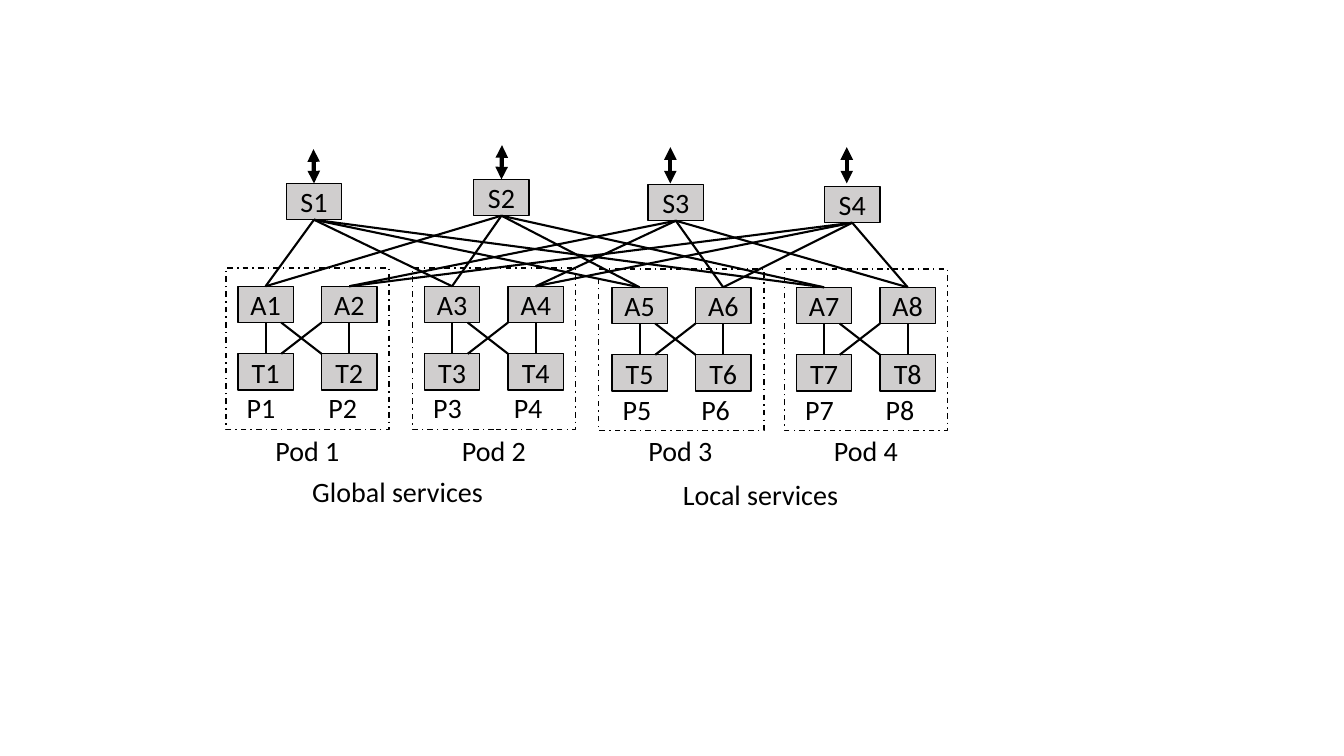
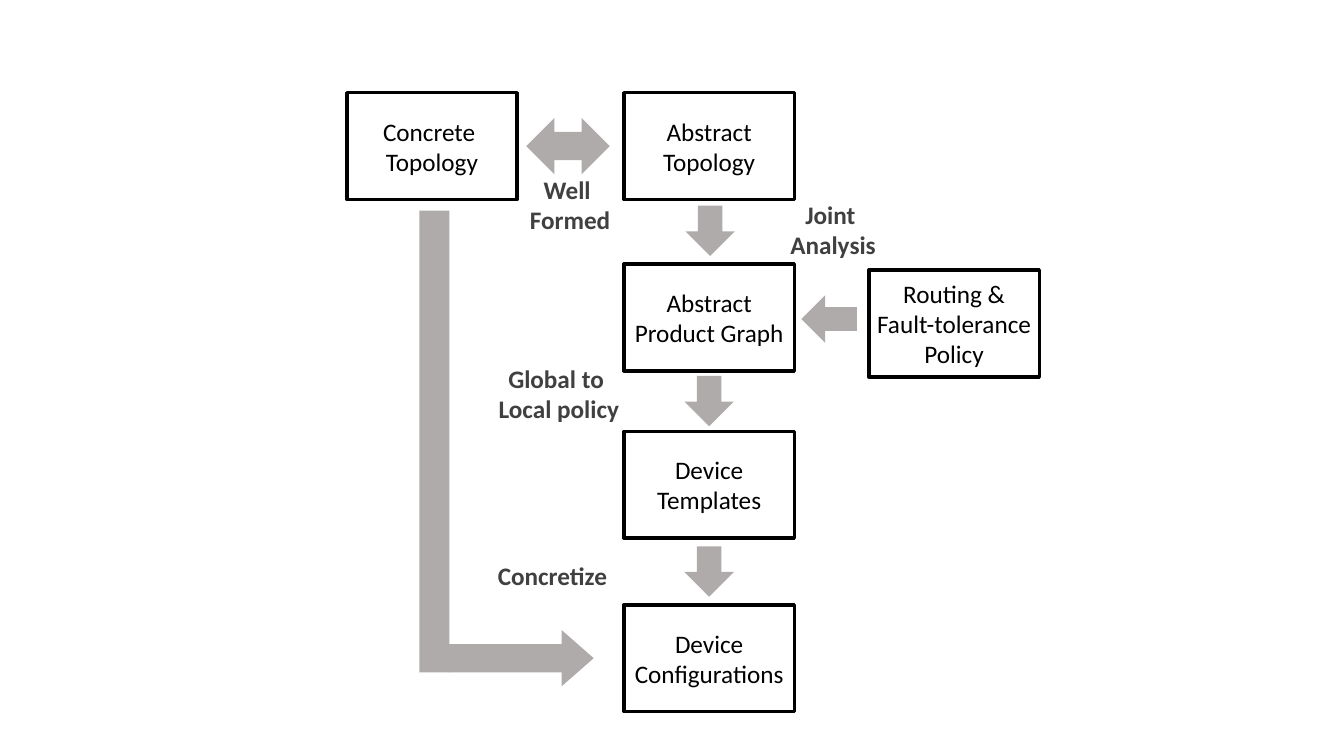
"""Build a data centre topology slide and a compilation pipeline slide."""
from lxml.etree import SubElement
from pptx import Presentation
from pptx.dml.color import RGBColor
from pptx.enum.dml import MSO_LINE
from pptx.enum.shapes import MSO_CONNECTOR, MSO_SHAPE
from pptx.enum.text import MSO_ANCHOR, PP_ALIGN
from pptx.oxml.ns import qn
from pptx.util import Inches, Pt

RECT = MSO_SHAPE.RECTANGLE
RIGHT = MSO_SHAPE.RIGHT_ARROW
LEFT = MSO_SHAPE.LEFT_ARROW
DOWN = MSO_SHAPE.DOWN_ARROW
BOTH = MSO_SHAPE.LEFT_RIGHT_ARROW
LINE = MSO_CONNECTOR.STRAIGHT
DASH = MSO_LINE.DASH_DOT
MIDDLE = MSO_ANCHOR.MIDDLE
TOP = MSO_ANCHOR.TOP
CENTER = PP_ALIGN.CENTER

FONT = "Calibri"
HUE = {"ink": "000000", "node": "D0CECE", "arrow": "AFABAB", "note": "404040"}
CELL = Inches(0.1)
COLS, ROWS = 133.33, 75


def put(slide, text, box, kind=None, fill=None, line=0, dash=None,
        size=20, color="ink", bold=False, wrap=True):
    """Place text in a plain box or a preset shape, measured in grid cells."""
    area = [round(v * CELL) for v in box]
    if kind is None:
        shape = slide.shapes.add_textbox(*area)
    else:
        shape = slide.shapes.add_shape(kind, *area)
        shape.shadow.inherit = False
        if fill:
            shape.fill.solid()
            shape.fill.fore_color.rgb = RGBColor.from_string(HUE[fill])
        else:
            shape.fill.background()
        if line:
            shape.line.color.rgb = RGBColor.from_string(HUE["ink"])
            shape.line.width = Pt(line)
            if dash:
                shape.line.dash_style = dash
        else:
            shape.line.fill.background()
    if text:
        frame = shape.text_frame
        frame.text = text
        frame.word_wrap = wrap
        frame.vertical_anchor = MIDDLE if kind else TOP
        for para in frame.paragraphs:
            para.alignment = CENTER
            para.font.name = FONT
            para.font.size = Pt(size)
            para.font.bold = bold
            para.font.color.rgb = RGBColor.from_string(HUE[color])
    return shape


def link(slide, ends=(0, 0, 0, 0), start=None, stop=None, width=1.5, heads=False):
    """Draw a line between grid points or from a node's bottom to a node's top."""
    wire = slide.shapes.add_connector(LINE, *[round(v * CELL) for v in ends])
    if start is not None:
        wire.begin_connect(start, 2)
    if stop is not None:
        wire.end_connect(stop, 0)
    wire.line.color.rgb = RGBColor.from_string(HUE["ink"])
    wire.line.width = Pt(width)
    props = wire._element.spPr
    if heads:
        for tag in ("a:headEnd", "a:tailEnd"):
            SubElement(props.find(qn("a:ln")), qn(tag), type="triangle")
    SubElement(props, qn("a:effectLst"))


deck = Presentation()
deck.slide_width = round(COLS * CELL)
deck.slide_height = ROWS * CELL
blank = deck.slide_layouts[6]

net = deck.slides.add_slide(blank)
WIDE, HIGH, STEP = 5.5, 3.6, 8.3
node = {"kind": RECT, "fill": "node", "line": 1}

pods = [
    (22.4, 26.6, 16.2, 23.6, 22.1, 8.1),
    (40.9, 26.6, 16.2, 42.1, 40.6, 8),
    (59.4, 26.7, 16.4, 60.7, 59.4, 7.8),
    (77.8, 26.7, 16.2, 79, 77.5, 8),
]
aggs = []
for i, (left, top, wide, first, port, gap) in enumerate(pods):
    put(net, "", (left, top, wide, 16), kind=RECT, line=1, dash=DASH)
    high, low = top + 1.8, top + 8.5
    for j in range(2):
        num = 2 * i + j + 1
        x = first + j * STEP
        agg = put(net, f"A{num}", (x, high, WIDE, HIGH), **node)
        tor = put(net, f"T{num}", (x, low, WIDE, HIGH), **node)
        link(net, start=agg, stop=tor)
        put(net, f"P{num}", (port + j * gap, top + 11.7, 7.6, 4.4))
        aggs.append(agg)
    near, far = first + 4.3, first + STEP
    link(net, (far, high + HIGH, near, low))
    link(net, (near, high + HIGH, far, low))
    put(net, f"Pod {i + 1}", (left, 42.5, 16.2, 4.4))

spines = [
    (28.4, 18.2, 31.1, 14.8, 18.2),
    (47, 17.8, 49.8, 14.4, 17.8),
    (64.3, 18.3, 66.5, 14.6, 18.2),
    (81.8, 18.5, 84, 14.6, 18.2),
]
for i, (left, top, x, head, foot) in enumerate(spines):
    spine = put(net, f"S{i + 1}", (left, top, WIDE, HIGH), **node)
    link(net, (x, head, x, foot), stop=spine if i < 2 else None, width=3, heads=True)
    for agg in aggs[i // 2::2]:
        link(net, start=spine, stop=agg)

put(net, "Global services", (28.6, 46.6, 21.7, 4.4))
put(net, "Local services", (64.6, 46.9, 21.7, 4.4))

flow = deck.slides.add_slide(blank)
MAIN = 61.9
stages = [
    ("Concrete \nTopology", 34.4, 9.2),
    ("Abstract\nTopology", MAIN, 9.2),
    ("Abstract\nProduct Graph", MAIN, 26.2),
    ("Routing &\nFault-tolerance\nPolicy", 86.2, 26.8),
    ("Device\nTemplates", MAIN, 42.8),
    ("Device\nConfigurations", MAIN, 60),
]
for text, left, top in stages:
    put(flow, text, (left, top, 16.9, 10.6), kind=RECT, line=2.5, size=18, wrap=False)

arrows = [
    (RECT, (41.6, 20.9, 3, 45.8)),
    (BOTH, (52.2, 11.7, 8.3, 5.6)),
    (LEFT, (79.5, 29.3, 5.5, 4.7)),
    (DOWN, (68, 20.4, 4.9, 5)),
    (DOWN, (67.9, 37.3, 4.9, 5)),
    (DOWN, (67.9, 54.2, 4.9, 5)),
]
for kind, box in arrows:
    put(flow, "", box, kind=kind, fill="arrow")
turn = put(flow, "", (44.5, 62.5, 14.4, 5.6), kind=RIGHT, fill="arrow")
turn.adjustments[1] = 0.57

notes = [
    ("Well \nFormed", (51.5, 16.8, 10.1, 7.1)),
    ("Joint \nAnalysis", (77.4, 19.3, 10.5, 7.1)),
    ("Global to \nLocal policy", (48.4, 35.5, 14.1, 7.1)),
    ("Concretize", (48.4, 55.1, 12.8, 4)),
]
for text, box in notes:
    put(flow, text, box, size=18, color="note", bold=True, wrap=False)

deck.save("out.pptx")
